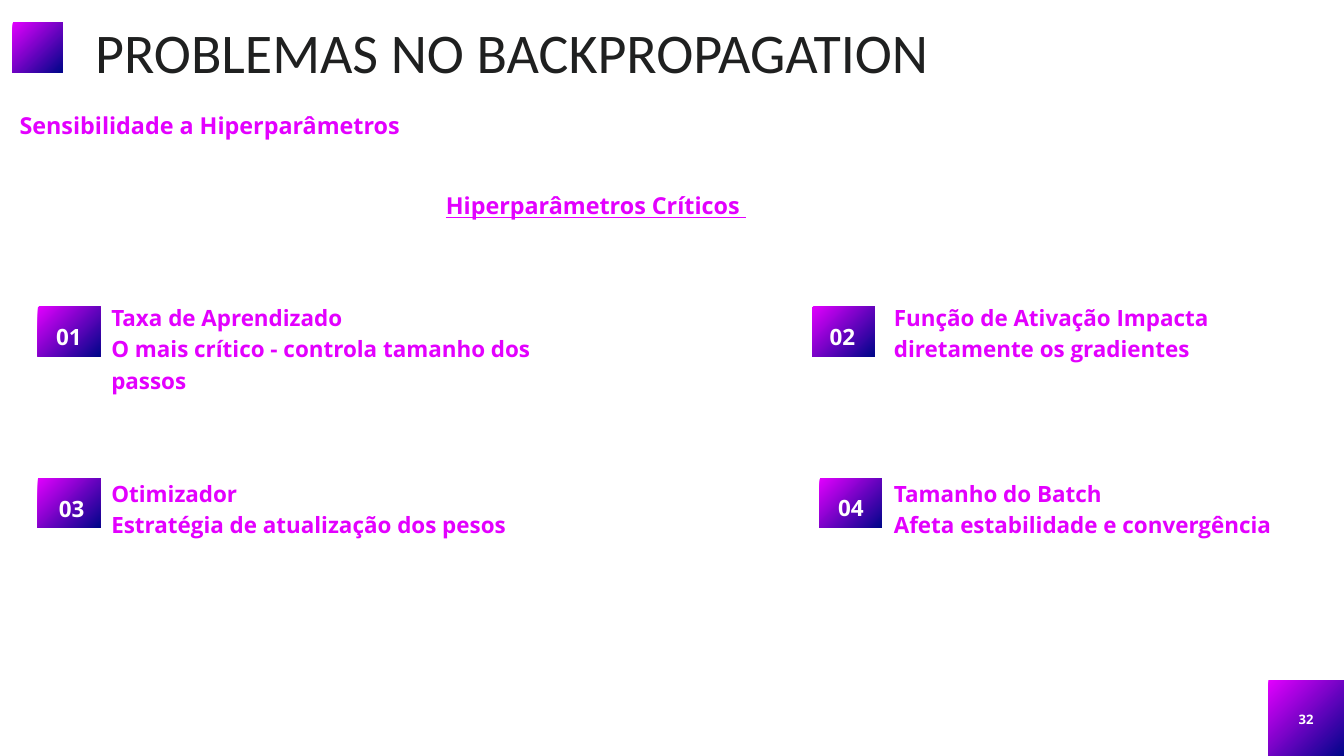
"""Builds the slide on critical hyperparameters of backpropagation."""
from dataclasses import dataclass

from pptx import Presentation
from pptx.dml.color import RGBColor
from pptx.enum.shapes import MSO_SHAPE
from pptx.enum.text import MSO_ANCHOR, MSO_AUTO_SIZE, PP_ALIGN
from pptx.util import Emu, Pt


@dataclass(frozen=True)
class Theme:
    pink: str = "E300FF"
    navy: str = "00068A"
    ink: str = "1F2020"
    white: str = "FFFFFF"
    head: str = "Calibri"
    body: str = "Open Sans"
    title: int = 60
    sub: int = 25
    text: int = 24
    page: int = 14


THEME = Theme()
SCALE = 9525
LEFT, RIGHT = 159, 1277
TOP, LOW = 428, 679

ITEMS = [
    ("01", (54, 438), (66, 455), (LEFT, TOP, 686, 130),
     ["Taxa de Aprendizado", "O mais crítico - controla tamanho dos passos"]),
    ("02", (1160, 438), (1171, 455), (RIGHT, TOP, 601, 85),
     ["Função de Ativação Impacta diretamente os gradientes"]),
    ("03", (54, 683), (70, 701), (LEFT, LOW, 612, 85),
     ["Otimizador", "Estratégia de atualização dos pesos"]),
    ("04", (1171, 683), (1183, 700), (RIGHT, LOW, 561, 85),
     ["Tamanho do Batch", "Afeta estabilidade e convergência"]),
]


def px(n):
    return Emu(n * SCALE)


def place(shape, box):
    shape.left, shape.top, shape.width, shape.height = map(px, box)


def write(shape, lines, *, size=THEME.text, color=THEME.pink, font=THEME.body,
          bold=True, under=False, align=PP_ALIGN.LEFT, lead=1.4):
    frame = shape.text_frame
    frame.word_wrap = True
    frame.auto_size = MSO_AUTO_SIZE.NONE
    frame.vertical_anchor = MSO_ANCHOR.TOP
    frame.margin_left = frame.margin_right = 0
    frame.margin_top = frame.margin_bottom = 0
    frame.text = "\n".join(lines)
    for para in frame.paragraphs:
        para.alignment = align
        para.line_spacing = Pt(size * lead)
        para.space_before = para.space_after = Pt(0)
        for run in para.runs:
            face = run.font
            face.name, face.size = font, Pt(size)
            face.bold, face.underline = bold, under
            face.color.rgb = RGBColor.from_string(color)


def add_text(slide, box, lines, **style):
    write(slide.shapes.add_textbox(*map(px, box)), lines, **style)


def add_block(slide, box):
    block = slide.shapes.add_shape(MSO_SHAPE.RECTANGLE, *map(px, box))
    block.shadow.inherit = False
    block.line.fill.background()
    block.fill.gradient()
    block.fill.gradient_angle = 315
    for stop, color in zip(block.fill.gradient_stops, (THEME.pink, THEME.navy)):
        stop.color.rgb = RGBColor.from_string(color)


def add_title(slide, box, text):
    title = slide.shapes.title
    place(title, box)
    write(title, [text], size=THEME.title, color=THEME.ink,
          font=THEME.head, bold=False, lead=1.22)


def add_item(slide, num, block, spot, box, lines):
    add_block(slide, (*block, 89, 71))
    add_text(slide, (*spot, 65, 41), [num], color=THEME.white,
             align=PP_ALIGN.CENTER)
    add_text(slide, box, lines)


def main():
    deck = Presentation()
    deck.slide_width, deck.slide_height = px(1920), px(1080)
    slide = deck.slides.add_slide(deck.slide_layouts[5])
    add_block(slide, (18, 32, 71, 71))
    add_title(slide, (136, 23, 1222, 97), "PROBLEMAS NO BACKPROPAGATION")
    add_text(slide, (28, 152, 645, 44), ["Sensibilidade a Hiperparâmetros"],
             size=THEME.sub)
    add_text(slide, (637, 267, 645, 44), ["Hiperparâmetros Críticos "],
             size=THEME.sub, under=True)
    for item in ITEMS:
        add_item(slide, *item)
    add_block(slide, (1812, 972, 108, 108))
    add_text(slide, (1837, 1012, 58, 25), ["32"], size=THEME.page,
             color=THEME.white, align=PP_ALIGN.CENTER)
    deck.save("out.pptx")


if __name__ == "__main__":
    main()
